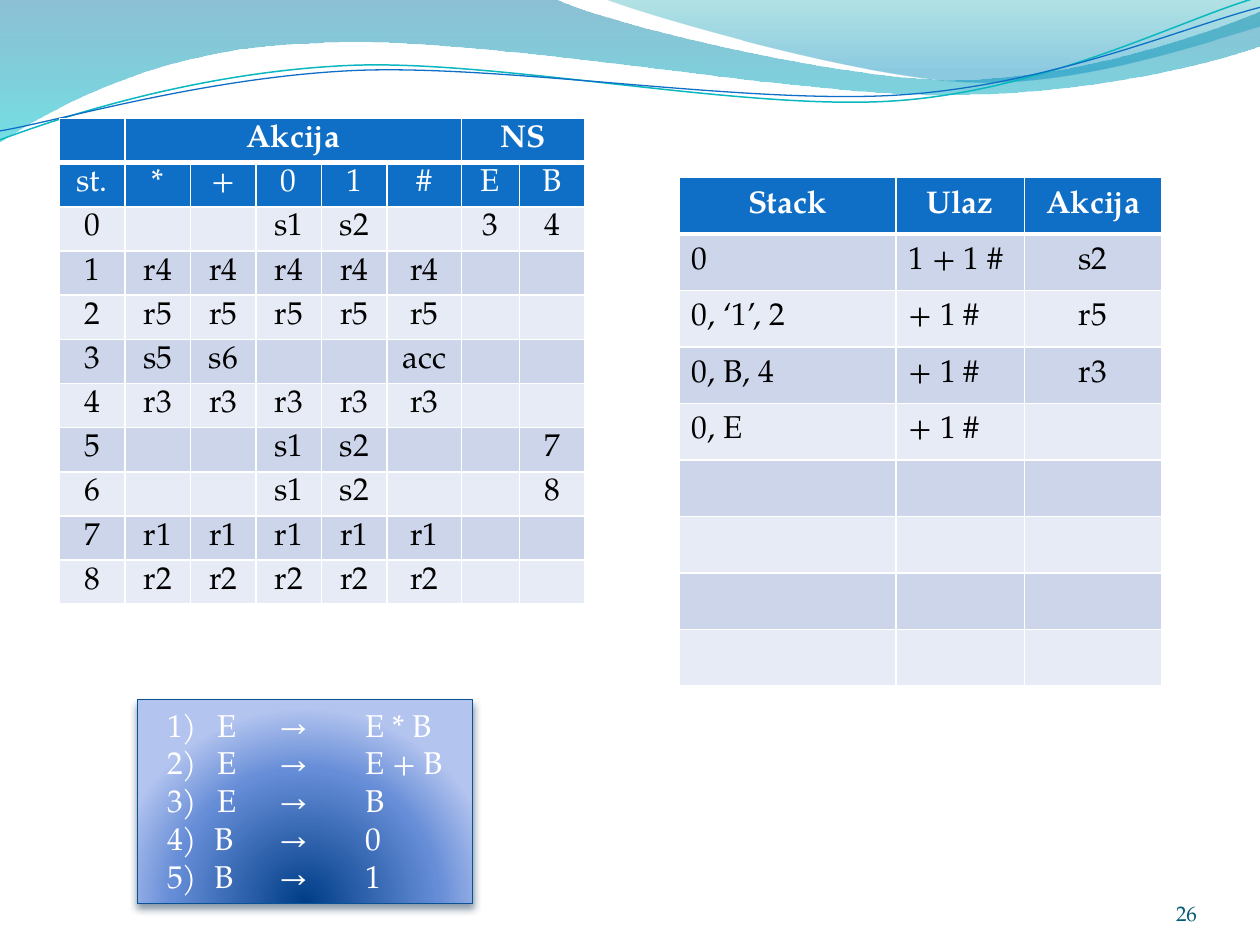
import pptx
import pptx.dml.color
import pptx.enum.shapes
import pptx.enum.text
import pptx.oxml
import pptx.oxml.ns
import pptx.util

Cm, Pt = pptx.util.Cm, pptx.util.Pt
ALIGN, ANCHOR = pptx.enum.text.PP_ALIGN, pptx.enum.text.MSO_ANCHOR

THEME = {
    "font": "TeX Gyre Pagella", "body": 18, "small": 12,
    "header": "0F6FC6", "bands": ("CCD5EA", "E7EBF5"),
    "white": "FFFFFF", "black": "000000", "number": "045D75", "outline": "095295",
}

# Content
BLANK = ""
PARSE_TABLE = {
    "rows": [
        (BLANK, "Akcija", BLANK, BLANK, BLANK, BLANK, "NS", BLANK),
        ("st.", "*", "+", "0", "1", "#", "E", "B"),
        ("0", BLANK, BLANK, "s1", "s2", BLANK, "3", "4"),
        ("1", *["r4"] * 5, BLANK, BLANK),
        ("2", *["r5"] * 5, BLANK, BLANK),
        ("3", "s5", "s6", BLANK, BLANK, "acc", BLANK, BLANK),
        ("4", *["r3"] * 5, BLANK, BLANK),
        ("5", BLANK, BLANK, "s1", "s2", BLANK, BLANK, "7"),
        ("6", BLANK, BLANK, "s1", "s2", BLANK, BLANK, "8"),
        ("7", *["r1"] * 5, BLANK, BLANK),
        ("8", *["r2"] * 5, BLANK, BLANK),
    ],
    "left": 1.2, "top": 2.39, "row_height": 0.89, "margin": 0.05,
    "widths": (1.32, 1.32, 1.32, 1.32, 1.32, 1.5, 1.17, 1.32),
    "header_rows": 2, "first_band": 1, "merges": [(1, 5), (6, 7)], "left_columns": (),
}
STACK_TABLE = {
    "rows": [
        ("Stack", "Ulaz", "Akcija"),
        ("0", "1 + 1 #", "s2"),
        ("0, ‘1’, 2", "+ 1 #", "r5"),
        ("0, B, 4", "+ 1 #", "r3"),
        ("0, E", "+ 1 #", BLANK),
        *[(BLANK, BLANK, BLANK)] * 4,
    ],
    "left": 13.69, "top": 3.58, "row_height": 1.14, "margin": 0.13,
    "widths": (4.37, 2.59, 2.77),
    "header_rows": 1, "first_band": 0, "merges": [], "left_columns": (0, 1),
}
TYPED_RULES = ["1) \tE\t→\tE * B", "2) \tE\t→ \tE + B", "3) \tE\t→ \tB"]
NUMBERED_RULES = ["B\t→\t0", "B\t→\t1"]
RULE_TABS = (1.02, 2.26, 3.99)

# Waves in cm: one point is a straight segment, three points are a curve
WAVES = [
    {"start": (0, 0), "segments": [
        [(11.18, -0.03)],
        [(12.09, 0.43), (16.87, 1.6), (19.25, 1.6)],
        [(21.67, 1.6), (24.33, 0.66), (25.4, 0.23)],
        [(25.43, 0.91)],
        [(24.97, 1.12), (22.1, 1.93), (18.95, 1.91)],
        [(15.8, 1.91), (9.7, 0.71), (6.53, 0.86)],
        [(3.28, 0.91), (1.17, 2.11), (-0.03, 2.87)]],
     "stops": [(0, "0074A1", 45), (100, "00C6CF", 55)]},
    {"start": (12.17, -0.03), "segments": [
        [(12.93, 0.28), (17.32, 1.57), (19.53, 1.65)],
        [(21.74, 1.75), (24.41, 0.81), (25.4, 0.53)],
        [(25.4, 0)]],
     "stops": [(0, "00A1A9", 30), (80, "008BBF", 45)]},
    {"start": (0, 2.82), "segments": [
        [(1.22, 2.36), (4.01, 1.45), (7.04, 1.32)],
        [(10.03, 1.19), (15.06, 2.26), (18.11, 2.03)],
        [(21.16, 1.8), (23.83, 0.38), (25.35, -0.05)]],
     "line": ("0AB8BF", 0.85)},
    {"start": (0, 2.64), "segments": [
        [(1.19, 2.44), (4.17, 1.55), (7.19, 1.42)],
        [(10.24, 1.3), (15.16, 2.13), (18.21, 1.91)],
        [(21.23, 1.7), (23.9, 0.53), (25.4, 0.15)]],
     "line": ("0F6FC6", 0.75)},
]


def color(value):
    return pptx.dml.color.RGBColor.from_string(value)


def element(tag, attributes="", inner=""):
    namespace = pptx.oxml.ns.nsdecls("a")
    return pptx.oxml.parse_xml(f"<a:{tag} {namespace} {attributes}>{inner}</a:{tag}>")


def format_runs(paragraph, value, size=THEME["body"], bold=False):
    for run in paragraph.runs:
        run.font.name, run.font.size, run.font.bold = THEME["font"], Pt(size), bold
        run.font.color.rgb = color(value)


def set_gradient(shape, stops, direction):
    shape.fill.gradient()
    properties = shape._element.spPr
    stop_list = "".join(
        f'<a:gs pos="{position * 1000}"><a:srgbClr val="{value}">'
        f'<a:alpha val="{opacity * 1000}"/></a:srgbClr></a:gs>'
        for position, value, opacity in stops)
    gradient = element("gradFill", 'rotWithShape="1"', f"<a:gsLst>{stop_list}</a:gsLst>{direction}")
    properties.replace(properties.find(pptx.oxml.ns.qn("a:gradFill")), gradient)


def set_line(shape, value, width):
    shape.line.color.rgb = color(value)
    shape.line.width = Pt(width)


def add_wave(slide, wave):
    points = [(Cm(x), Cm(y)) for segment in wave["segments"] for x, y in segment]
    builder = slide.shapes.build_freeform(*[Cm(value) for value in wave["start"]])
    builder.add_line_segments(points, close="stops" in wave)
    shape = builder.convert_to_shape()
    shape.shadow.inherit = False
    # Join each group of three points into one curve
    lines = iter(list(shape._element.iter(pptx.oxml.ns.qn("a:lnTo"))))
    for segment in wave["segments"]:
        group = [next(lines) for _ in segment]
        if len(group) == 3:
            curve = element("cubicBezTo")
            group[0].addprevious(curve)
            for line in group:
                curve.append(line[0])
                line.getparent().remove(line)
    if "stops" in wave:
        set_gradient(shape, wave["stops"], '<a:lin ang="5400000" scaled="0"/>')
        shape.line.fill.background()
    else:
        shape.fill.background()
        set_line(shape, *wave["line"])


def set_borders(cell, bottom):
    properties = cell._tc.get_or_add_tcPr()
    for side, width in (("L", 1), ("R", 1), ("T", 1), ("B", bottom)):
        fill = f'<a:solidFill><a:srgbClr val="{THEME["white"]}"/></a:solidFill>'
        properties.append(element(f"ln{side}", f'w="{Pt(width)}"', fill))


def add_grid(slide, grid):
    rows, widths, headers = grid["rows"], grid["widths"], grid["header_rows"]
    table = slide.shapes.add_table(
        len(rows), len(widths), Cm(grid["left"]), Cm(grid["top"]),
        Cm(sum(widths)), Cm(grid["row_height"] * len(rows))).table
    for column, width in zip(table.columns, widths):
        column.width = Cm(width)
    for row_index, row in enumerate(rows):
        table.rows[row_index].height = Cm(grid["row_height"])
        is_header = row_index < headers
        band = THEME["bands"][(row_index - headers + grid["first_band"]) % 2]
        for column_index, text in enumerate(row):
            cell = table.cell(row_index, column_index)
            set_borders(cell, 3 if row_index == 0 else 1)
            cell.fill.solid()
            cell.fill.fore_color.rgb = color(THEME["header"] if is_header else band)
            cell.margin_top = cell.margin_bottom = Cm(grid["margin"])
            cell.vertical_anchor = ANCHOR.MIDDLE
            if text:
                paragraph = cell.text_frame.paragraphs[0]
                paragraph.text = text
                is_left = not is_header and column_index in grid["left_columns"]
                paragraph.alignment = ALIGN.LEFT if is_left else ALIGN.CENTER
                format_runs(paragraph, THEME["white" if is_header else "black"], bold=row_index == 0)
    for first, last in grid["merges"]:
        table.cell(0, first).merge(table.cell(0, last))


def add_rules(slide):
    shape = slide.shapes.add_shape(
        pptx.enum.shapes.MSO_SHAPE.RECTANGLE, Cm(2.77), Cm(14.1), Cm(6.76), Cm(4.11))
    set_gradient(shape, [(0, "003D87", 100), (68, "668DD7", 100), (100, "B3C4EF", 100)],
                 '<a:path path="circle"><a:fillToRect l="50000" t="130000" r="50000" b="-30000"/></a:path>')
    set_line(shape, THEME["outline"], 0.75)
    shape.shadow.inherit = False
    shape._element.spPr.find(pptx.oxml.ns.qn("a:effectLst")).append(element(
        "outerShdw", f'blurRad="{Pt(4.5)}" dist="{Pt(3)}" dir="5400000" rotWithShape="0"',
        '<a:srgbClr val="042747"><a:alpha val="48000"/></a:srgbClr>'))
    frame = shape.text_frame
    frame.word_wrap = True
    frame.vertical_anchor = ANCHOR.TOP
    frame.margin_left, frame.margin_right = Cm(0.6), Cm(0)
    tabs = "".join(f'<a:tab pos="{Cm(stop)}" algn="l"/>' for stop in RULE_TABS)
    for index, text in enumerate(["\v".join(TYPED_RULES), *NUMBERED_RULES]):
        paragraph = frame.add_paragraph() if index else frame.paragraphs[0]
        paragraph.text = text
        paragraph.alignment = ALIGN.LEFT
        properties = paragraph._p.get_or_add_pPr()
        if index:
            properties.set("marL", str(Cm(0.95)))
            properties.set("indent", str(-Cm(0.95)))
            properties.append(element("buAutoNum", 'type="arabicParenR" startAt="4"'))
        properties.append(element("tabLst", inner=tabs))
        format_runs(paragraph, THEME["white"])


def add_slide_number(slide, text):
    frame = slide.shapes.add_textbox(Cm(22.02), Cm(17.65), Cm(2.11), Cm(1.02)).text_frame
    frame.word_wrap = True
    frame.margin_left = frame.margin_top = frame.margin_right = frame.margin_bottom = 0
    frame.vertical_anchor = ANCHOR.BOTTOM
    frame.text = text
    frame.paragraphs[0].alignment = ALIGN.RIGHT
    format_runs(frame.paragraphs[0], THEME["number"], THEME["small"])


def main():
    presentation = pptx.Presentation()
    presentation.slide_width, presentation.slide_height = Cm(25.4), Cm(19.05)
    slide = presentation.slides.add_slide(presentation.slide_layouts[6])
    for wave in WAVES:
        add_wave(slide, wave)
    add_grid(slide, PARSE_TABLE)
    add_slide_number(slide, "26")
    add_rules(slide)
    add_grid(slide, STACK_TABLE)
    presentation.save("out.pptx")


if __name__ == "__main__":
    main()
